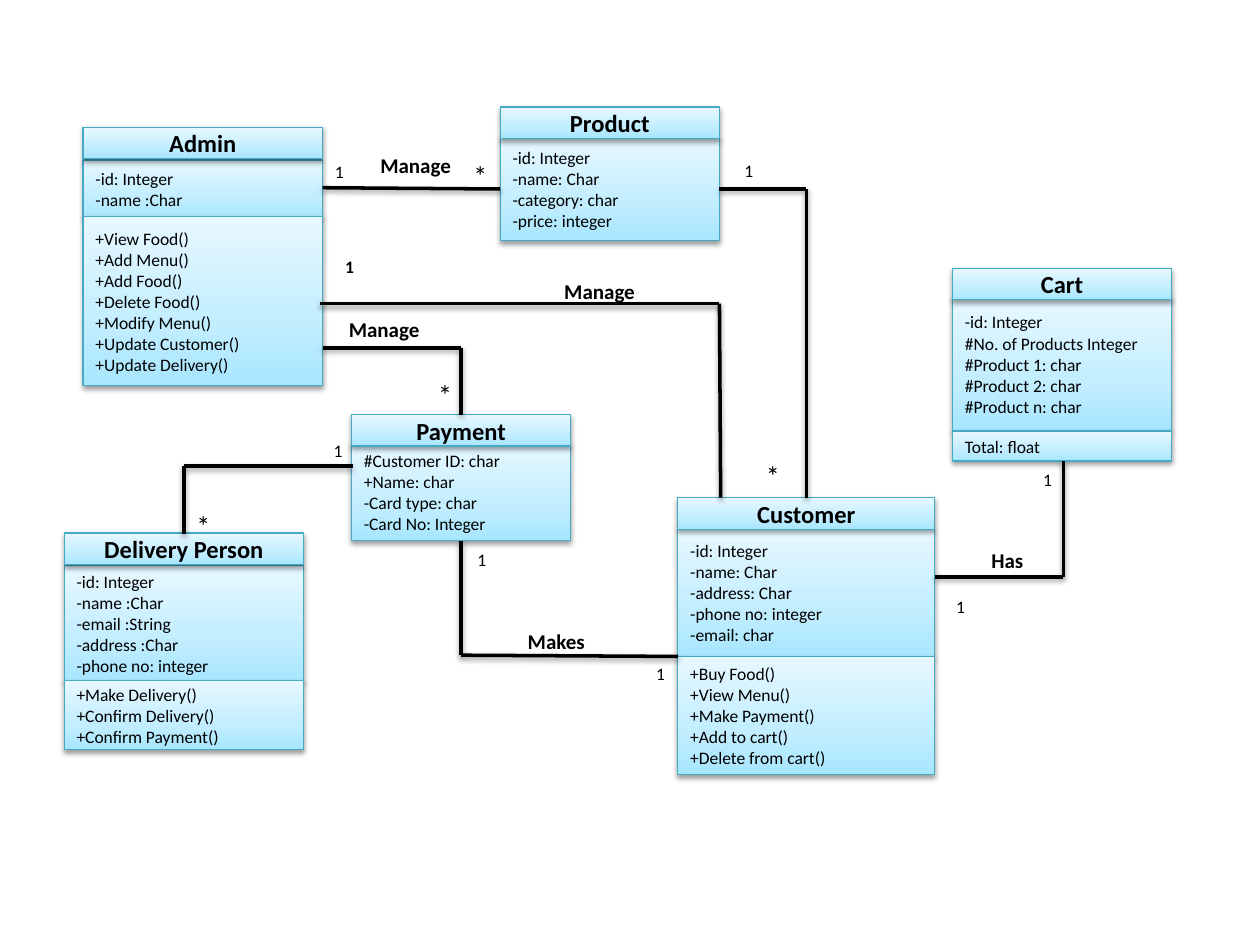
from itertools import pairwise

from pptx import Presentation
from pptx.dml.color import RGBColor
from pptx.enum.shapes import MSO_CONNECTOR, MSO_SHAPE
from pptx.enum.text import MSO_ANCHOR, MSO_AUTO_SIZE, PP_ALIGN
from pptx.oxml import parse_xml
from pptx.oxml.ns import nsdecls
from pptx.util import Inches, Pt

BLACK = RGBColor(0x00, 0x00, 0x00)
TEAL = RGBColor(0x46, 0xAA, 0xC5)
GRADIENT = [(0, RGBColor(0xA7, 0xE6, 0xFF)),
            (35, RGBColor(0xC1, 0xED, 0xFF)),
            (100, RGBColor(0xE7, 0xF8, 0xFF))]
FONT = "Calibri"
TITLE_H = 0.25

# name, left, top, width, compartments as (top, height, lines)
CLASSES = [
    ("Product", 3.97, 0.85, 1.74, [
        (1.09, 0.82, ["-id: Integer", "-name: Char", "-category: char", "-price: integer"])]),
    ("Admin", 0.66, 1.01, 1.9, [
        (1.27, 0.46, ["-id: Integer", "-name :Char"]),
        (1.72, 1.34, ["+View Food()", "+Add Menu()", "+Add Food()", "+Delete Food()",
                      "+Modify Menu()", "+Update Customer()", "+Update Delivery()"])]),
    ("Delivery Person", 0.51, 4.23, 1.9, [
        (4.49, 0.92, ["-id: Integer", "-name :Char", "-email :String", "-address :Char",
                      "-phone no: integer"]),
        (5.4, 0.55, ["+Make Delivery()", "+Confirm Delivery()", "+Confirm Payment()"])]),
    ("Payment", 2.79, 3.29, 1.74, [
        (3.52, 0.77, ["#Customer ID: char", "+Name: char", "-Card type: char",
                      "-Card No: Integer"])]),
    ("Customer", 5.38, 3.95, 2.04, [
        (4.2, 1.01, ["-id: Integer", "-name: Char", "-address: Char", "-phone no: integer",
                     "-email: char"]),
        (5.21, 0.94, ["+Buy Food()", "+View Menu()", "+Make Payment()", "+Add to cart()",
                      "+Delete from cart()"])]),
    ("Cart", 7.56, 2.13, 1.74, [
        (2.36, 1.06, ["-id: Integer", "#No. of Products Integer", "#Product 1: char",
                      "#Product 2: char", "#Product n: char"]),
        (3.42, 0.24, ["Total: float"])]),
]

ASSOCIATIONS = [
    [(2.56, 1.49), (3.97, 1.5)],
    [(2.54, 2.41), (5.71, 2.41), (5.72, 3.95)],
    [(5.71, 1.5), (6.4, 1.5), (6.4, 3.95)],
    [(2.56, 2.76), (3.66, 2.76), (3.66, 3.29)],
    [(2.8, 3.7), (1.46, 3.7), (1.46, 4.24)],
    [(3.66, 4.29), (3.66, 5.2), (5.38, 5.21)],
    [(7.42, 4.58), (8.44, 4.58), (8.44, 3.66)],
]

ROLES = [("Manage", 2.92, 1.16), ("Manage", 4.38, 2.16), ("Manage", 2.67, 2.46),
         ("Makes", 4.09, 4.94), ("Has", 7.77, 4.3)]
ONES = [(2.56, 1.23), (3.69, 4.31), (2.55, 3.44), (7.49, 4.68), (5.11, 5.21),
        (8.18, 3.67), (5.81, 1.22)]
MANY = [(1.46, 3.99), (3.66, 1.21), (5.98, 3.59), (3.38, 2.95)]


def write(tf, lines, size=10, bold=False, align=PP_ALIGN.LEFT):
    """Write each line as one formatted paragraph."""
    tf.word_wrap = True
    for i, line in enumerate(lines):
        p = tf.paragraphs[0] if i == 0 else tf.add_paragraph()
        p.alignment = align
        r = p.add_run()
        r.text = line
        r.font.name, r.font.size, r.font.bold = FONT, Pt(size), bold
        r.font.color.rgb = BLACK


def add_shadow(sp):
    """Give a shape or connector a soft shadow below it."""
    sp._element.spPr.append(parse_xml(
        f'<a:effectLst {nsdecls("a")}><a:outerShdw blurRad="{Pt(3.1)}" dist="{Pt(1.6)}" '
        f'dir="5400000" rotWithShape="0"><a:srgbClr val="{BLACK}">'
        '<a:alpha val="38000"/></a:srgbClr></a:outerShdw></a:effectLst>'))


def add_gradient(sp):
    """Fill a shape with the blue gradient, darkest at the bottom."""
    stops = "".join(f'<a:gs pos="{pos * 1000}"><a:srgbClr val="{color}"/></a:gs>'
                    for pos, color in GRADIENT)
    sp._element.spPr.insert(2, parse_xml(
        f'<a:gradFill {nsdecls("a")} rotWithShape="1"><a:gsLst>{stops}</a:gsLst>'
        '<a:lin ang="16200000" scaled="0"/></a:gradFill>'))


def add_box(s, x, y, w, h, lines, **fmt):
    """Add one compartment of a class."""
    sp = s.shapes.add_shape(MSO_SHAPE.RECTANGLE, Inches(x), Inches(y), Inches(w), Inches(h))
    add_gradient(sp)
    sp.line.color.rgb = TEAL
    sp.line.width = Pt(0.75)
    add_shadow(sp)
    sp.text_frame.vertical_anchor = MSO_ANCHOR.MIDDLE
    write(sp.text_frame, lines, **fmt)


def add_class(s, name, x, y, w, compartments):
    """Add a class with its title over the attributes."""
    (top, h, attributes), *others = compartments
    add_box(s, x, top, w, h, attributes)
    add_box(s, x, y, w, TITLE_H, [name], size=14, bold=True, align=PP_ALIGN.CENTER)
    for top, h, lines in others:
        add_box(s, x, top, w, h, lines)


def add_association(s, points):
    """Join consecutive points with straight lines."""
    for start, end in pairwise(points):
        line = s.shapes.add_connector(MSO_CONNECTOR.STRAIGHT,
                                      *(Inches(v) for v in start + end))
        line.line.color.rgb = BLACK
        line.line.width = Pt(2)
        add_shadow(line)


def add_label(s, text, x, y, w=0.24, h=0.27, **fmt):
    """Add a role name or multiplicity."""
    tf = s.shapes.add_textbox(Inches(x), Inches(y), Inches(w), Inches(h)).text_frame
    write(tf, [text], **fmt)
    tf.auto_size = MSO_AUTO_SIZE.SHAPE_TO_FIT_TEXT


def main():
    """Build the class diagram."""
    prs = Presentation()
    prs.slide_width, prs.slide_height = Inches(10), Inches(7.5)
    s = prs.slides.add_slide(prs.slide_layouts[6])
    for item in CLASSES:
        add_class(s, *item)
    for points in ASSOCIATIONS:
        add_association(s, points)
    for text, x, y in ROLES:
        add_label(s, text, x, y, w=0.86, h=0.3, size=12, bold=True)
    for x, y in ONES:
        add_label(s, "1", x, y)
    add_label(s, "1", 2.64, 1.98, bold=True)
    for x, y in MANY:
        add_label(s, "*", x, y, h=0.37, size=16)
    prs.save("out.pptx")


main()
